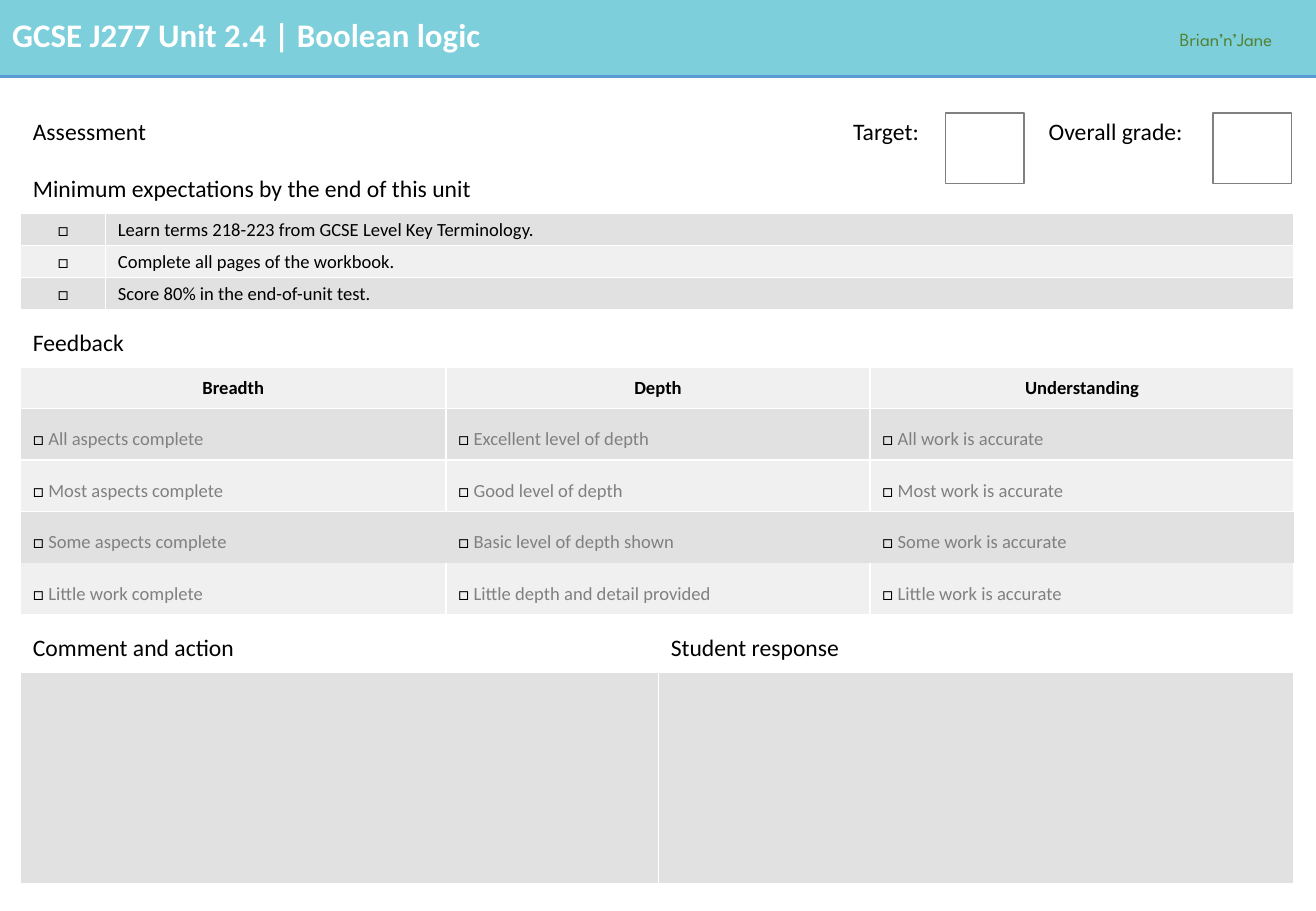
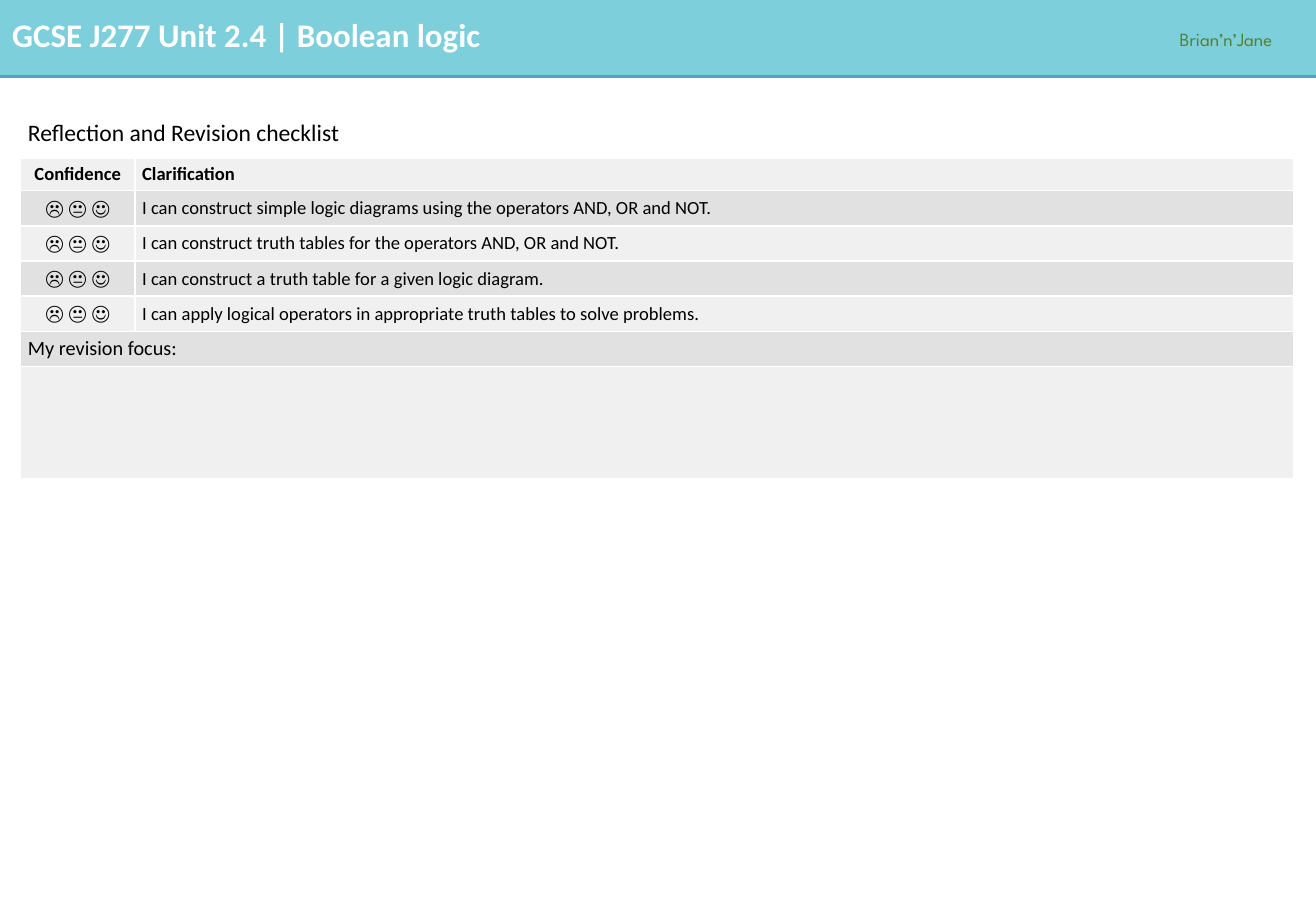
"""Build the assessment sheet and revision checklist for a Boolean logic unit."""
from lxml import etree
from pptx import Presentation
from pptx.dml.color import RGBColor
from pptx.enum.shapes import MSO_CONNECTOR, MSO_SHAPE
from pptx.enum.text import MSO_ANCHOR, PP_ALIGN
from pptx.oxml import parse_xml
from pptx.oxml.ns import nsdecls, qn
from pptx.util import Inches, Pt

RECT, STRAIGHT = MSO_SHAPE.RECTANGLE, MSO_CONNECTOR.STRAIGHT
MIDDLE = MSO_ANCHOR.MIDDLE
LEFT, CENTER = PP_ALIGN.LEFT, PP_ALIGN.CENTER
COLOURS = {
    "band": "7CCFDB", "rule": "5B9BD5", "brand": "548235", "white": "FFFFFF",
    "black": "000000", "grey": "808080", "dark": "E1E1E1", "light": "F0F0F0",
}
RGB = {name: RGBColor.from_string(value) for name, value in COLOURS.items()}
FONT = "Calibri"
NO_STYLE = "{2D5ABB26-0587-4C30-8999-92F81FD0307C}"
TABLE_LEFT, TABLE_TOP = 0.17, 0.81
BAND_HEIGHT = 0.63
BOX = "□"
FACES = "☹ 😐 ☺"


def style_run(r, size, colour="black", bold=False, font=FONT):
    """Set the font of one run."""
    r.font.name, r.font.size, r.font.bold = font, Pt(size), bold
    r.font.color.rgb = RGB[colour]


def add_grid(s, widths, rows, side):
    """Add a table from rows of (height, fill, top, bottom, edges, cells)."""
    table = s.shapes.add_table(
        len(rows), len(widths), Inches(TABLE_LEFT), Inches(TABLE_TOP),
        Inches(sum(widths)), Inches(sum(row[0] for row in rows))).table
    table.first_row = table.horz_banding = False
    table._tbl.tblPr.find(qn("a:tableStyleId")).text = NO_STYLE
    for column, width in zip(table.columns, widths):
        column.width = Inches(width)
    for i, (height, fill, top, bottom, edges, cells) in enumerate(rows):
        table.rows[i].height = Inches(height)
        for cell in table.rows[i].cells:
            cell.margin_left = cell.margin_right = Inches(side)
            cell.margin_top, cell.margin_bottom = Inches(top), Inches(bottom)
            cell.vertical_anchor = MIDDLE
            cell.fill.solid()
            cell.fill.fore_color.rgb = RGB[fill]
            for n, edge in enumerate(edges):
                cell._tc.tcPr.insert(n, parse_xml(
                    f'<a:ln{edge} {nsdecls("a")} w="12700"><a:solidFill>'
                    f'<a:srgbClr val="{COLOURS["white"]}"/></a:solidFill></a:ln{edge}>'))
        col = 0
        for span, text, size, bold, align in cells:
            cell = table.cell(i, col)
            if span > 1:
                cell.merge(table.cell(i, col + span - 1))
            col += span
            p = cell.text_frame.paragraphs[0]
            p.alignment = align
            box, gap, label = text.partition(BOX + " ")
            for part, colour in ((box + gap, "black"), (label, "grey")):
                if part:
                    r = p.add_run()
                    r.text = part
                    style_run(r, size, colour, bold)


prs = Presentation()
prs.slide_width, prs.slide_height = Inches(10.83), Inches(7.5)
W = prs.slide_width
title_only = prs.slide_layouts[5]
slides = [prs.slides.add_slide(title_only) for _ in range(2)]

for s in slides:
    band = s.shapes.add_shape(RECT, 0, 0, W, Inches(BAND_HEIGHT))
    band.shadow.inherit = False
    band.fill.solid()
    band.fill.fore_color.rgb = RGB["band"]
    band.line.fill.background()
    rule = s.shapes.add_connector(
        STRAIGHT, 0, Inches(BAND_HEIGHT), W, Inches(BAND_HEIGHT))
    rule.line.color.rgb, rule.line.width = RGB["rule"], Pt(2.25)
    etree.SubElement(rule._element.spPr, qn("a:effectLst"))
    for n, shape in enumerate((band, rule)):
        s.shapes._spTree.insert(2 + n, shape._element)

    title = s.shapes.title
    title.left, title.top = 0, Inches(0.07)
    title.width, title.height = Inches(9.48), Inches(0.43)
    title.text_frame.text = "GCSE J277 Unit 2.4 | Boolean logic"
    title.text_frame.vertical_anchor = MIDDLE
    p = title.text_frame.paragraphs[0]
    p.alignment = LEFT
    style_run(p.runs[0], 19.5, "white", True)

    brand = s.shapes.add_textbox(Inches(9.61), Inches(0.17), Inches(1.22), Inches(0.29))
    brand.text_frame.word_wrap = True
    brand.text_frame.text = "Brian’n’Jane"
    p = brand.text_frame.paragraphs[0]
    p.line_spacing = 1.07
    style_run(p.runs[0], 11, "brand", font="League Spartan")

assessment, checklist = slides

ALL = "LRTB"
HEADING = (0.47, "white", 0.16, 0.08, ALL)
expectations = [
    "Learn terms 218-223 from GCSE Level Key Terminology.",
    "Complete all pages of the workbook.",
    "Score 80% in the end-of-unit test.",
]
feedback = [
    ("LRTB", "All aspects complete", "Excellent level of depth", "All work is accurate"),
    ("LRT", "Most aspects complete", "Good level of depth", "Most work is accurate"),
    ("", "Some aspects complete", "Basic level of depth shown", "Some work is accurate"),
    ("LRB", "Little work complete", "Little depth and detail provided",
     "Little work is accurate"),
]
SHADES = ("dark", "light")
SPANS = (2, 3, 2)

rows = [
    (*HEADING, [(4, "Assessment", 14, False, LEFT), (2, "Target:", 14, False, LEFT),
                (1, "Overall grade:", 14, False, LEFT)]),
    (*HEADING, [(7, "Minimum expectations by the end of this unit", 14, False, LEFT)]),
]
for n, text in enumerate(expectations):
    rows.append((0.26, SHADES[n % 2], 0.04, 0.04, ALL,
                 [(1, BOX, 11, False, CENTER), (6, text, 11, False, LEFT)]))
rows.append((*HEADING, [(7, "Feedback", 14, False, LEFT)]))
rows.append((0.34, "light", 0.08, 0.08, ALL,
             [(span, text, 11, True, CENTER)
              for span, text in zip(SPANS, ("Breadth", "Depth", "Understanding"))]))
for n, (edges, *levels) in enumerate(feedback):
    rows.append((0.42, SHADES[n % 2], 0.16, 0.08, edges,
                 [(span, f"{BOX} {text}", 11, False, LEFT)
                  for span, text in zip(SPANS, levels)]))
rows.append((*HEADING, [(3, "Comment and action", 14, False, LEFT),
                        (4, "Student response", 14, False, LEFT)]))
rows.append((1.74, "dark", 0.04, 0.04, ALL,
             [(3, "", 11, False, LEFT), (4, "", 11, False, LEFT)]))
add_grid(assessment, [0.7, 2.8, 1.75, 1.5, 0.24, 1.37, 2.12], rows, 0.1)

for left in (9.98, 7.78):
    grade = assessment.shapes.add_shape(
        RECT, Inches(left), Inches(0.93), Inches(0.65), Inches(0.58))
    grade.shadow.inherit = False
    grade.fill.solid()
    grade.fill.fore_color.rgb = RGB["white"]
    grade.line.color.rgb, grade.line.width = RGB["grey"], Pt(1)

skills = [
    "I can construct simple logic diagrams using the operators AND, OR and NOT.",
    "I can construct truth tables for the operators AND, OR and NOT.",
    "I can construct a truth table for a given logic diagram.",
    "I can apply logical operators in appropriate truth tables to solve problems.",
]
rows = [
    (0.49, "white", 0.16, 0.08, ALL,
     [(2, "Reflection and Revision checklist", 14, False, LEFT)]),
    (0.27, "light", 0.04, 0.04, ALL,
     [(1, "Confidence", 11, True, CENTER), (1, "Clarification", 11, True, LEFT)]),
]
for n, text in enumerate(skills):
    rows.append((0.29, SHADES[n % 2], 0.04, 0.04, ALL,
                 [(1, FACES, 12, False, CENTER), (1, text, 11, False, LEFT)]))
rows.append((0.29, "dark", 0.04, 0.04, ALL,
             [(2, "My revision focus:", 12, False, LEFT)]))
rows.append((0.92, "light", 0.04, 0.04, ALL, [(2, "", 11, False, LEFT)]))
add_grid(checklist, [0.94, 9.54], rows, 0.06)

prs.save("out.pptx")
